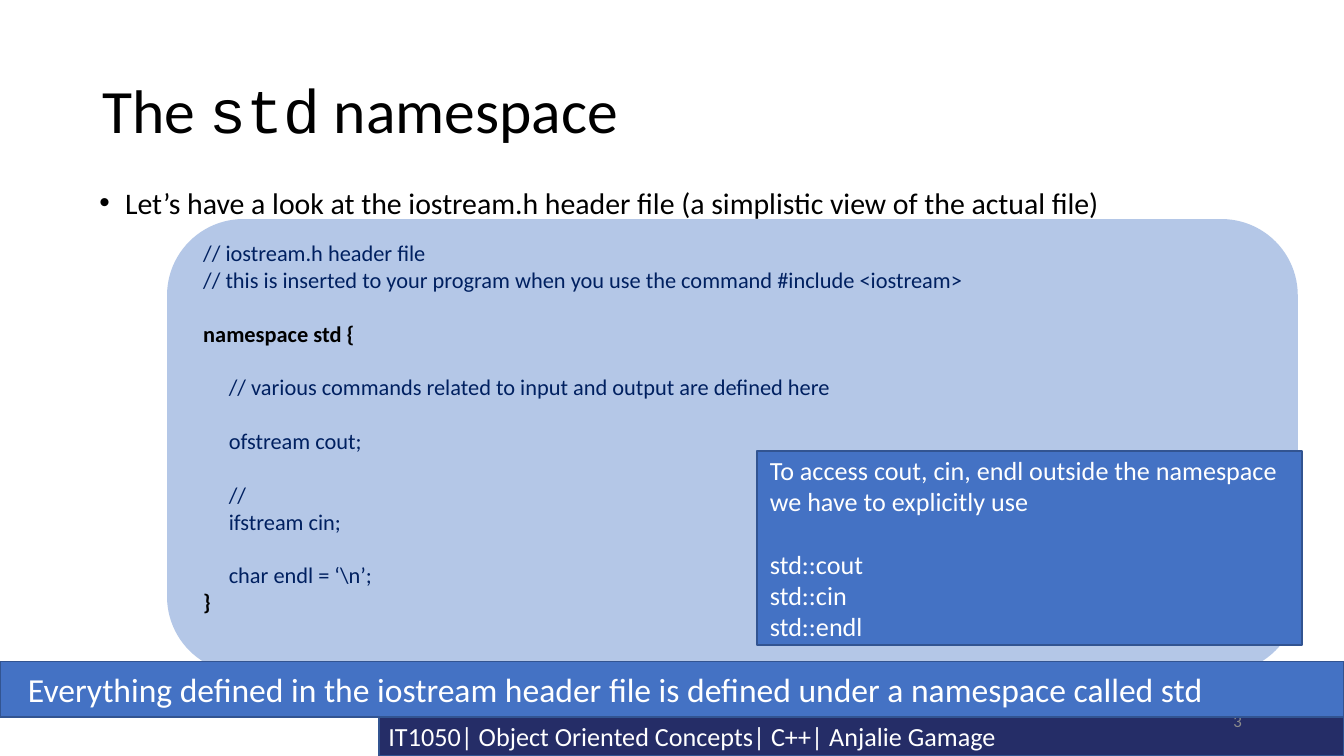
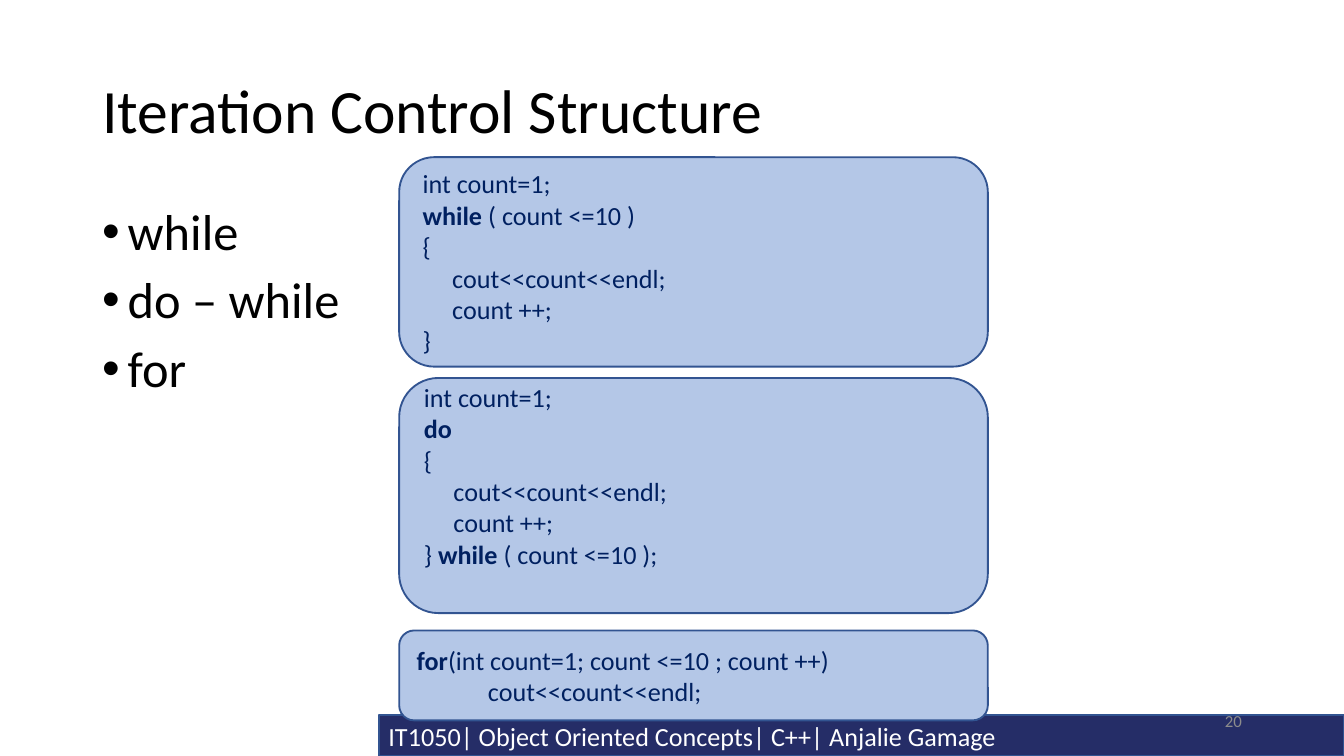
from pptx import Presentation
from pptx.dml.color import RGBColor
from pptx.enum.shapes import MSO_SHAPE
from pptx.enum.text import MSO_ANCHOR, MSO_AUTO_SIZE, PP_ALIGN
from pptx.util import Inches, Pt

WHITE = RGBColor(0xFF, 0xFF, 0xFF)
BLACK = RGBColor(0x00, 0x00, 0x00)
GREY = RGBColor(0x8C, 0x8C, 0x8C)
NAVY = RGBColor(0x00, 0x20, 0x60)
FOOTER_BLUE = RGBColor(0x25, 0x2D, 0x67)
BLUE = RGBColor(0x44, 0x72, 0xC4)
PALE_BLUE = RGBColor(0xB4, 0xC7, 0xE7)
OUTLINE = RGBColor(0x32, 0x54, 0x91)

FONT = "Calibri"
CODE_FONT = "Courier New"
SLIDE_WIDTH = Inches(10)
SLIDE_HEIGHT = Inches(5.625)
BULLET_INDENT = Inches(0.19)


def frame(left, top, width, height):
    """Turn percentages of the slide's width and height into lengths."""
    return (int(SLIDE_WIDTH * left / 100), int(SLIDE_HEIGHT * top / 100),
            int(SLIDE_WIDTH * width / 100), int(SLIDE_HEIGHT * height / 100))


def add_box(slide, kind, box, lines, size, fill, colour, outline=OUTLINE,
            bold_colour=None, margins=(0.1, 0.05, 0.05)):
    """Add a filled box; each line is (text, indent in inches, blank lines above).

    Text between ** marks is bold; margins are side, top and bottom in inches.
    """
    shape = slide.shapes.add_shape(kind, *frame(*box))
    shape.shadow.inherit = False
    shape.fill.solid()
    shape.fill.fore_color.rgb = fill
    shape.line.color.rgb = outline
    shape.line.width = Pt(1)
    text_frame = shape.text_frame
    text_frame.word_wrap = True
    text_frame.vertical_anchor = MSO_ANCHOR.MIDDLE
    side, top, bottom = margins
    text_frame.margin_left = text_frame.margin_right = Inches(side)
    text_frame.margin_top, text_frame.margin_bottom = Inches(top), Inches(bottom)
    for index, (text, indent, blank_lines) in enumerate(lines):
        paragraph = text_frame.paragraphs[0] if index == 0 else text_frame.add_paragraph()
        paragraph.alignment = PP_ALIGN.LEFT
        paragraph.space_before = Pt(blank_lines * size * 1.2)
        paragraph._p.get_or_add_pPr().set("marL", str(Inches(indent)))
        for position, part in enumerate(text.split("**")):
            if part:
                bold = position % 2 == 1
                run = paragraph.add_run()
                run.text = part
                run.font.name = FONT
                run.font.size = Pt(size)
                run.font.bold = bold
                run.font.color.rgb = bold_colour if bold and bold_colour else colour
    return shape


presentation = Presentation()
presentation.slide_width = SLIDE_WIDTH
presentation.slide_height = SLIDE_HEIGHT
layout = presentation.slide_layouts[1]

# Number, title runs, bullets, bullet size and body frame of each slide
outlines = [
    ("3", [("The ", FONT), ("std", CODE_FONT), (" namespace", FONT)],
     ["Let’s have a look at the iostream.h header file (a simplistic view of the actual file)"],
     16, (6.7, 24.2, 86.2, 24.5)),
    ("20", [("Iteration Control Structure", FONT)],
     ["while", "do – while", "for"],
     27, (6.9, 26.6, 19.8, 63.5)),
]

for number, title_runs, bullets, bullet_size, body_box in outlines:
    slide = presentation.slides.add_slide(layout)
    title, body = slide.placeholders
    number_box = slide.shapes.add_textbox(*frame(70.6, 92.7, 22.5, 5.3))
    title.left, title.top, title.width, title.height = frame(6.9, 5.3, 86.2, 19.4)
    body.left, body.top, body.width, body.height = frame(*body_box)
    for shape in (title, body, number_box):
        text_frame = shape.text_frame
        text_frame.word_wrap = True
        text_frame.auto_size = MSO_AUTO_SIZE.NONE
        text_frame.vertical_anchor = MSO_ANCHOR.TOP if shape is body else MSO_ANCHOR.MIDDLE
        text_frame.margin_left = text_frame.margin_right = Inches(0.07)
        text_frame.margin_top = text_frame.margin_bottom = Inches(0.04)

    paragraph = title.text_frame.paragraphs[0]
    paragraph.alignment = PP_ALIGN.LEFT
    paragraph.line_spacing = 0.9
    for text, font_name in title_runs:
        run = paragraph.add_run()
        run.text = text
        run.font.name = font_name
        run.font.size = Pt(33)
        run.font.color.rgb = BLACK

    for index, text in enumerate(bullets):
        paragraph = body.text_frame.paragraphs[0] if index == 0 else body.text_frame.add_paragraph()
        paragraph.line_spacing = 0.9
        paragraph.space_before = Pt(7.5)
        properties = paragraph._p.get_or_add_pPr()
        properties.set("marL", str(BULLET_INDENT))
        properties.set("indent", str(-BULLET_INDENT))
        run = paragraph.add_run()
        run.text = text
        run.font.name = FONT
        run.font.size = Pt(bullet_size)
        run.font.color.rgb = BLACK

    paragraph = number_box.text_frame.paragraphs[0]
    paragraph.alignment = PP_ALIGN.RIGHT
    run = paragraph.add_run()
    run.text = number
    run.font.name = FONT
    run.font.size = Pt(9)
    run.font.color.rgb = GREY

namespace_slide, iteration_slide = presentation.slides

# The footer band moves to the layout, so both slides share it
footer = add_box(namespace_slide, MSO_SHAPE.RECTANGLE, (28.2, 94.6, 71.8, 5.4),
                 [("IT1050| Object Oriented Concepts| C++| Anjalie Gamage", 0, 0)],
                 14, FOOTER_BLUE, WHITE, margins=(0.07, 0.04, 0.04))
layout.shapes.element.append(footer.element)

# The std namespace
header_file = [
    ("// iostream.h header file", 0, 0),
    ("// this is inserted to your program when you use the command #include <iostream>", 0, 0),
    ("**namespace std {**", 0, 1),
    ("// various commands related to input and output are defined here", 0.19, 1),
    ("ofstream cout;", 0.19, 1),
    ("//", 0.19, 1),
    ("ifstream cin;", 0.19, 0),
    ("char endl = ‘\\n’;", 0.19, 1),
    ("**}**", 0, 0),
]
add_box(namespace_slide, MSO_SHAPE.ROUNDED_RECTANGLE, (12.5, 29.1, 84, 59.8), header_file,
        12, PALE_BLUE, NAVY, outline=PALE_BLUE, bold_colour=BLACK, margins=(0.1, 0, 0.28))
add_box(namespace_slide, MSO_SHAPE.RECTANGLE, (0, 87.5, 100, 7.3),
        [("Everything defined in the iostream header file is defined under a namespace called std",
          0.11, 0)], 18, BLUE, WHITE)
access_note = [
    ("To access cout, cin, endl outside the namespace we have to explicitly use", 0, 0),
    ("std::cout", 0, 1),
    ("std::cin", 0, 0),
    ("std::endl", 0, 0),
]
add_box(namespace_slide, MSO_SHAPE.RECTANGLE, (56.3, 59.7, 40.6, 25.6), access_note,
        14, BLUE, WHITE)

# Iteration control structure: top, height, margins and code of each loop
loop_body = [("{", 0, 0), ("cout<<count<<endl;", 0.22, 0), ("count ++;", 0.22, 0)]
loops = [
    (20.8, 27.7, (0.1, 0.05, 0.05),
     [("int count=1;", 0, 0), ("**while** ( count <=10 )", 0, 0), *loop_body, ("}", 0, 0)]),
    (50, 31.1, (0.1, 0, 0.3),
     [("int count=1;", 0, 0), ("**do**", 0, 0), *loop_body,
      ("} **while **( count <=10 );", 0, 0)]),
    (83.4, 11.9, (0.1, 0.05, 0.05),
     [("**for**(int count=1; count <=10 ; count ++)", 0, 0), ("cout<<count<<endl;", 0.53, 0)]),
]
for top, height, margins, code in loops:
    add_box(iteration_slide, MSO_SHAPE.ROUNDED_RECTANGLE, (29.7, top, 43.8, height), code,
            14, PALE_BLUE, NAVY, margins=margins)

presentation.save("out.pptx")
